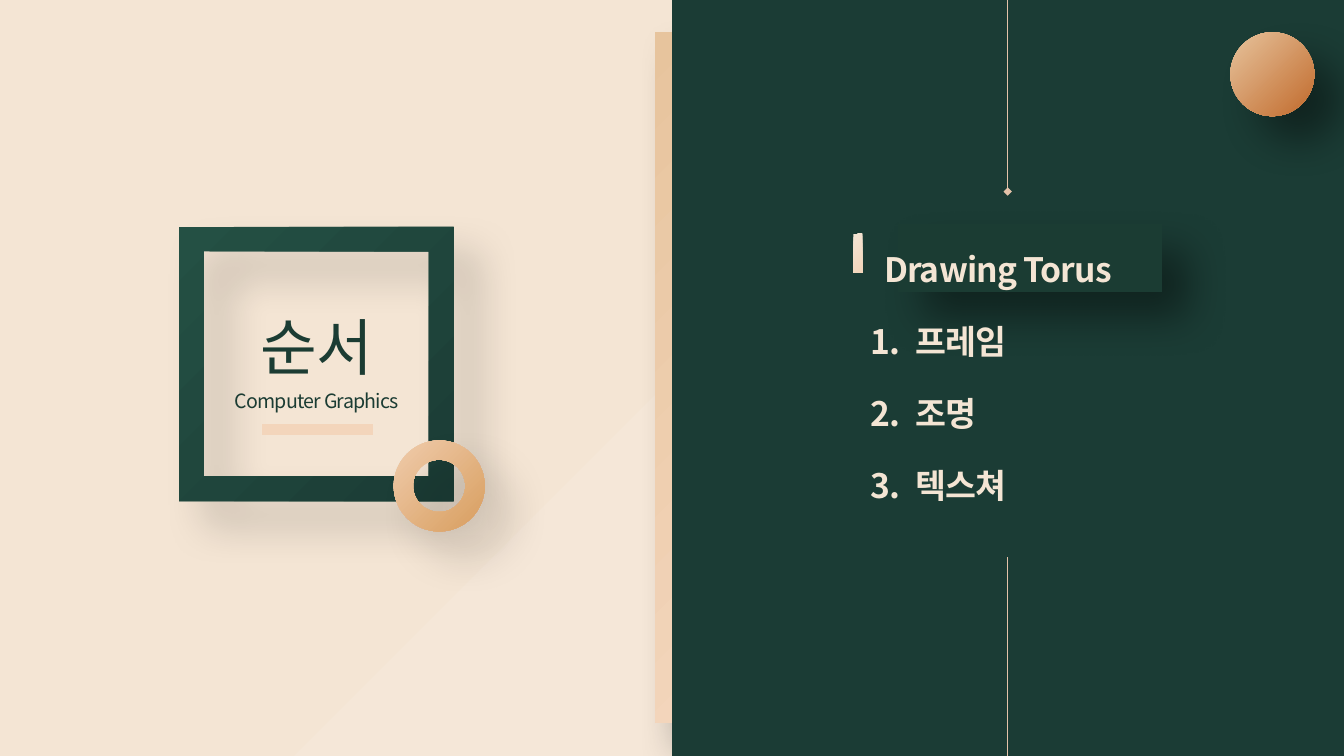
from lxml.etree import SubElement
from pptx import Presentation
from pptx.dml.color import RGBColor
from pptx.enum.shapes import MSO_CONNECTOR, MSO_SHAPE
from pptx.enum.text import MSO_ANCHOR, PP_ALIGN
from pptx.oxml.ns import qn
from pptx.util import Pt

FONT = "Noto Sans CJK KR"
GREEN, CREAM, PEACH, TAN = "1B3C33", "F4E5D4", "F3D5BB", "E4C2A9"
DEEP_GREEN, SAND = "1B3C35", "E7C49D"


def color(value):
    return RGBColor.from_string(value)


def set_gradient(fill, start, end):
    """Diagonal gradient from the top left to the bottom right."""
    fill.gradient()
    fill.gradient_angle = 315
    for stop, value, position in zip(fill.gradient_stops, (start, end), (0, 1)):
        stop.color.rgb = color(value)
        stop.position = position


def add_shadow(sp, alpha):
    effects = sp._element.spPr.find(qn("a:effectLst"))
    shadow = SubElement(effects, qn("a:outerShdw"), blurRad=str(Pt(30)), dist=str(Pt(26)),
                        dir="2700000", algn="tl", rotWithShape="0")
    black = SubElement(shadow, qn("a:srgbClr"), val="000000")
    SubElement(black, qn("a:alpha"), val=str(alpha * 1000))


def add_block(s, kind, box, start, end, shadow=0, adjust=None):
    sp = s.shapes.add_shape(kind, *map(Pt, box))
    set_gradient(sp.fill, start, end)
    sp.line.fill.background()
    sp.shadow.inherit = False
    if shadow:
        add_shadow(sp, shadow)
    if adjust is not None:
        sp.adjustments[0] = adjust
    return sp


def add_line(s, x1, y1, x2, y2, value, width, tail=None):
    line = s.shapes.add_connector(MSO_CONNECTOR.STRAIGHT, Pt(x1), Pt(y1), Pt(x2), Pt(y2))
    line.line.color.rgb = color(value)
    line.line.width = Pt(width)
    SubElement(line._element.spPr, qn("a:effectLst"))
    if tail:
        SubElement(line.line._get_or_add_ln(), qn("a:tailEnd"), type=tail)


def add_text_box(s, box, margins=(0, 0, 0, 0)):
    tf = s.shapes.add_textbox(*map(Pt, box)).text_frame
    tf.word_wrap = True
    tf.vertical_anchor = MSO_ANCHOR.MIDDLE
    tf.margin_left, tf.margin_top, tf.margin_right, tf.margin_bottom = map(Pt, margins)
    return tf


def add_run(p, text, size, value, bold=False, spacing=-0.6):
    r = p.add_run()
    r.text = text
    r.font.size = Pt(size)
    r.font.bold = bold
    r.font.name = FONT
    r.font.color.rgb = color(value)
    rPr = r.font._element
    rPr.set("spc", str(round(spacing * 100)))
    SubElement(rPr, qn("a:ea"), typeface=FONT)


def add_caption(s, box, text, size):
    p = add_text_box(s, box).paragraphs[0]
    p.alignment = PP_ALIGN.CENTER
    p.line_spacing = 1.2
    add_run(p, text, size, GREEN)


def add_agenda(s, box, title, items):
    tf = add_text_box(s, box, (7.2, 3.6, 7.2, 3.6))
    p = tf.paragraphs[0]
    p._p.get_or_add_pPr().set("indent", str(Pt(9.5)))
    add_run(p, title, 24, CREAM, bold=True)
    for number, item in enumerate(items, 1):
        p = tf.add_paragraph()
        p.space_before = Pt(22.6)
        add_run(p, f"{number}.", 24, CREAM, bold=True)
        add_run(p, " ", 24, CREAM, bold=True, spacing=5)
        add_run(p, item, 24, CREAM, bold=True)


def main():
    prs = Presentation()
    prs.slide_width, prs.slide_height = Pt(960), Pt(540)
    s = prs.slides.add_slide(prs.slide_layouts[6])
    set_gradient(s.background.fill, CREAM, "F5E7D8")

    # Split background
    add_block(s, MSO_SHAPE.RECTANGLE, (468, 23, 26.6, 493.2), SAND, PEACH, shadow=40)
    add_block(s, MSO_SHAPE.RECTANGLE, (480, 0, 480, 540), DEEP_GREEN, GREEN)

    # Framed heading
    add_block(s, MSO_SHAPE.FRAME, (128, 162, 196, 196), "245044", DEEP_GREEN,
              shadow=17, adjust=0.09)
    add_block(s, MSO_SHAPE.DONUT, (281.2, 314.6, 65, 65), "F0CCAC", "D89E5F",
              shadow=17, adjust=0.213)
    add_caption(s, (128, 219.6, 196.6, 44.6), "순서", 44)
    add_caption(s, (128, 272.2, 196.6, 24.5), "Computer Graphics", 14)
    add_line(s, 187.2, 306.7, 266.4, 306.7, PEACH, 8)

    # Agenda
    add_block(s, MSO_SHAPE.RECTANGLE, (641.5, 159.8, 188.6, 49), GREEN, DEEP_GREEN, shadow=40)
    add_block(s, MSO_SHAPE.RECTANGLE, (609.5, 167, 6.5, 28), CREAM, PEACH)
    add_agenda(s, (614.9, 23, 231.8, 493.2), "Drawing Torus", ("프레임", "조명", "텍스쳐"))

    # Ornaments
    add_block(s, MSO_SHAPE.OVAL, (878.8, 23, 60, 60), SAND, "C16A2C", shadow=40)
    add_line(s, 719.8, 0, 719.8, 136.8, TAN, 0.75, tail="diamond")
    add_line(s, 719.8, 398, 719.8, 540, TAN, 0.75)

    prs.save("out.pptx")


if __name__ == "__main__":
    main()
